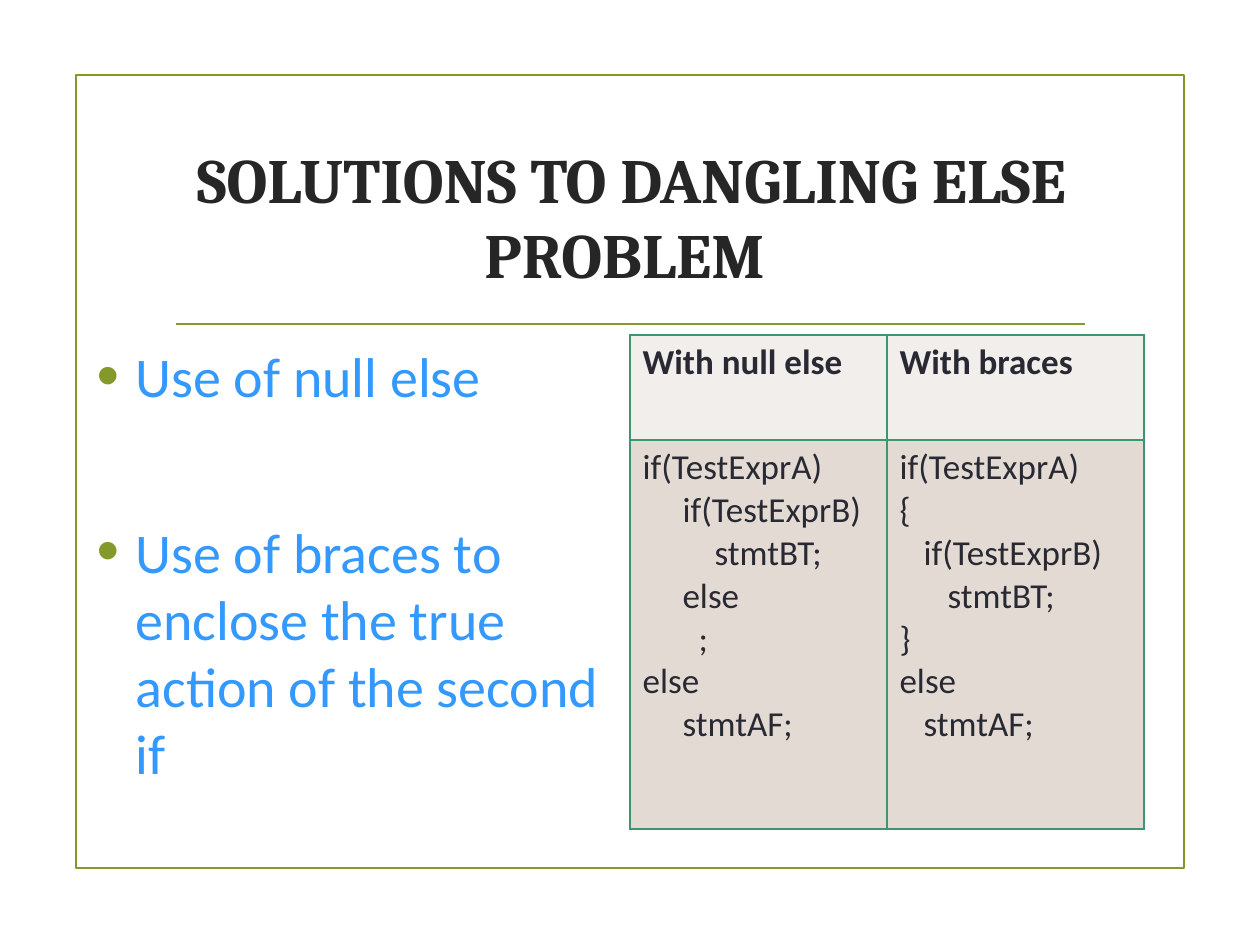
from lxml import etree
from pptx import Presentation
from pptx import util as u
from pptx.dml.color import RGBColor
from pptx.enum import shapes, text
from pptx.oxml.ns import qn

PX = 914400 // 126
OLIVE = RGBColor(0x83, 0x99, 0x2A)
DARK = RGBColor(0x26, 0x26, 0x26)
BLUE = RGBColor(0x33, 0x99, 0xFF)
INK = RGBColor(0x29, 0x29, 0x34)
HEAD = RGBColor(0xF1, 0xEE, 0xEB)
BODY = RGBColor(0xE3, 0xDB, 0xD3)
EDGE = RGBColor(0x3C, 0x97, 0x70)

# Content: title, bullets with space before, code lines with indent in steps
TITLE = "SOLUTIONS TO DANGLING ELSE PROBLEM "
POINTS = [("Use of null else", None),
          ("Use of braces to enclose the true action of the second if", 56)]
STEP = 8
CODE = [
    ("With null else", [(0, "if(TestExprA)"), (5, "if(TestExprB)"),
                        (9, "stmtBT;"), (5, "else"), (7, ";"),
                        (0, "else"), (5, "stmtAF;")]),
    ("With braces", [(0, "if(TestExprA)"), (0, "{"), (3, "if(TestExprB)"),
                     (6, "stmtBT;"), (0, "}"), (0, "else"), (3, "stmtAF;")]),
]
ROWS = [105, 389]
COL = 257

TITLE_FONT = {"name": "Cambria", "size": u.Pt(36), "bold": True}
POINT_FONT = {"name": "Calibri", "size": u.Pt(32)}
HEAD_FONT = {"name": "Calibri", "size": u.Pt(20), "bold": True}
CODE_FONT = {**HEAD_FONT, "bold": False}


def px(*vals):
    return [u.Emu(v * PX) for v in vals]


def write(par, words, look, color):
    run = par.add_run()
    run.text = words
    for key, val in look.items():
        setattr(run.font, key, val)
    run.font.color.rgb = color


def place(shape, *box):
    shape.left, shape.top, shape.width, shape.height = px(*box)
    shape.text_frame.auto_size = text.MSO_AUTO_SIZE.NONE
    return shape.text_frame


def indent(par, left, hang=0):
    props = par._p.get_or_add_pPr()
    props.set("marL", str(left * PX))
    props.set("indent", str(-hang * PX))
    return props


def bullet(par):
    props = indent(par, 39, 39)
    tint = etree.SubElement(props, qn("a:buClr"))
    etree.SubElement(tint, qn("a:srgbClr"), val=str(OLIVE))
    etree.SubElement(props, qn("a:buSzPct"), val="115000")
    etree.SubElement(props, qn("a:buFont"), typeface="Arial")
    etree.SubElement(props, qn("a:buChar"), char="•")


def style(cell, color):
    props = cell._tc.get_or_add_tcPr()
    for side in ("lnL", "lnR", "lnT", "lnB"):
        line = etree.SubElement(props, qn("a:" + side), w=str(u.Pt(1)))
        fill = etree.SubElement(line, qn("a:solidFill"))
        etree.SubElement(fill, qn("a:srgbClr"), val=str(EDGE))
    cell.fill.solid()
    cell.fill.fore_color.rgb = color


deck = Presentation()
deck.slide_width, deck.slide_height = u.Inches(10), u.Inches(7.5)
slide = deck.slides.add_slide(deck.slide_layouts[1])

# Frame and rule under the title
frame = slide.shapes.add_shape(shapes.MSO_SHAPE.RECTANGLE,
                               *px(76, 75, 1108, 793))
frame.shadow.inherit = False
frame.fill.background()
rule = slide.shapes.add_connector(shapes.MSO_CONNECTOR.STRAIGHT,
                                  *px(176, 324, 1085, 324))
etree.SubElement(rule._element.spPr, qn("a:effectLst"))
for item in (frame, rule):
    item.line.color.rgb = OLIVE
    item.line.width = u.Pt(1.25)

# Title
box = place(slide.shapes.title, 163, 126, 937, 180)
box.vertical_anchor = text.MSO_ANCHOR.MIDDLE
box.paragraphs[0].alignment = text.PP_ALIGN.CENTER
write(box.paragraphs[0], TITLE, TITLE_FONT, DARK)

# Bullet list
box = place(slide.placeholders[1], 84, 335, 557, 508)
for n, (words, gap) in enumerate(POINTS):
    par = box.add_paragraph() if n else box.paragraphs[0]
    par.space_after = u.Pt(6)
    if gap:
        par.space_before = u.Pt(gap)
    bullet(par)
    write(par, words, POINT_FONT, BLUE)

# Table of code
table = slide.shapes.add_table(
    len(ROWS), len(CODE), *px(630, 335, COL * len(CODE), sum(ROWS))).table
for row, high in zip(table.rows, ROWS):
    row.height = u.Emu(high * PX)
for c, (head, code) in enumerate(CODE):
    table.columns[c].width = u.Emu(COL * PX)
    parts = [([(0, head)], HEAD_FONT, HEAD), (code, CODE_FONT, BODY)]
    for r, (lines, look, color) in enumerate(parts):
        cell = table.cell(r, c)
        style(cell, color)
        for n, (depth, words) in enumerate(lines):
            frame = cell.text_frame
            par = frame.add_paragraph() if n else frame.paragraphs[0]
            indent(par, depth * STEP)
            write(par, words, look, INK)

deck.save("out.pptx")
